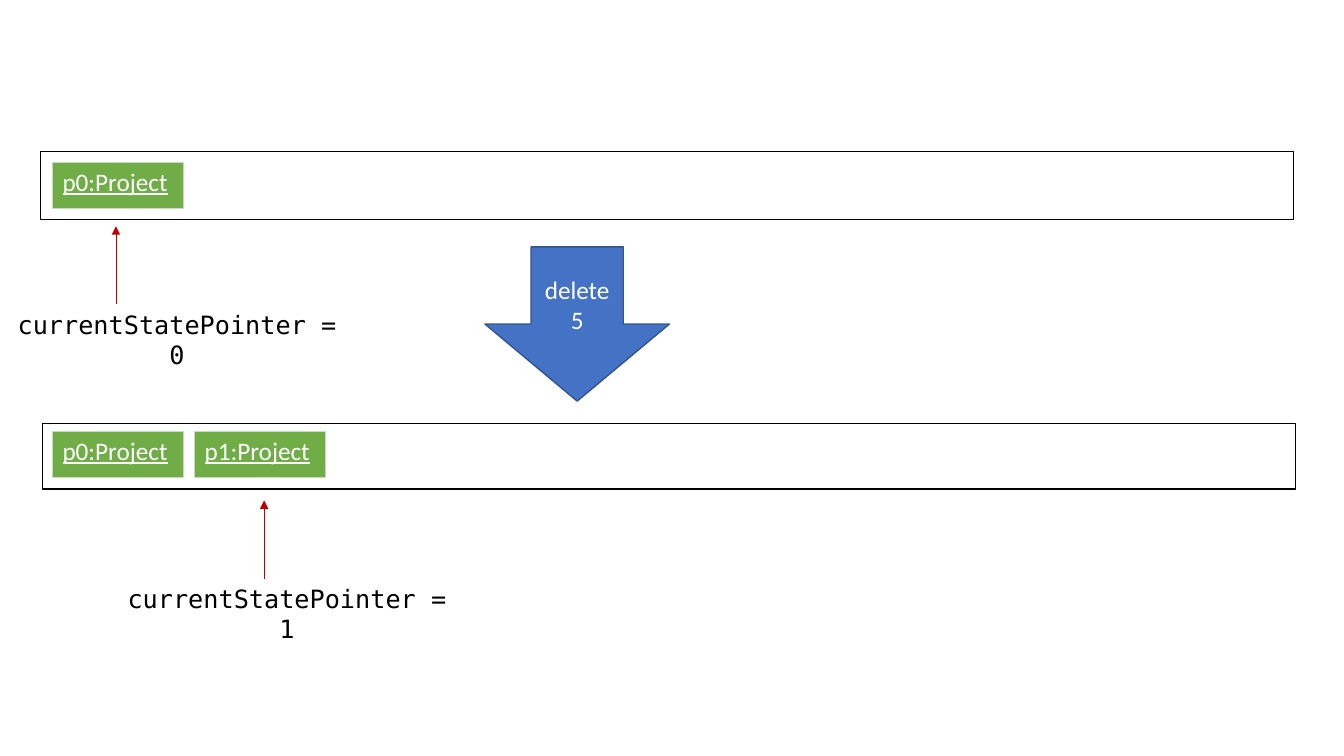
from collections import namedtuple

from lxml.etree import SubElement
from pptx import Presentation
from pptx.dml.color import RGBColor
from pptx.enum.shapes import MSO_CONNECTOR as Connector, MSO_SHAPE as Shape
from pptx.enum.text import MSO_ANCHOR as Anchor, PP_ALIGN as Align
from pptx.oxml.ns import qn
from pptx.util import Inches, Pt

COLORS = {
    "text": "000000",
    "light_text": "FFFFFF",
    "frame": "000000",
    "project": "70AD47",
    "project_border": "C9DBC1",
    "command": "4472C4",
    "command_border": "325491",
    "pointer": "C00000",
}
SANS, MONO = "Calibri", "DejaVu Sans Mono"
GRID_COLS, GRID_ROWS = 133.3, 75
PROJECT_COLS, PROJECT_ROWS, PROJECT_PITCH = 13, 4.6, 14.1
POINTER_ROWS = 7.75

Box = namedtuple("Box", "left top width height")
State = namedtuple("State", "box projects inset pointer label")


def grid(*cells):
    """Turn grid units of a tenth of an inch into slide lengths."""
    return [Inches(cell / 10) for cell in cells]


def color(name):
    """Look up a palette colour."""
    return RGBColor.from_string(COLORS[name])


def write(paragraph, words, font, ink, underline=None):
    """Add one formatted run to a paragraph."""
    run = paragraph.add_run()
    run.text = words
    run.font.size = Pt(18)
    run.font.name = font
    run.font.underline = underline
    run.font.color.rgb = color(ink)


def add_outlined(slide, preset, box, border):
    """Add a preset shape without shadow and with a thin border."""
    outlined = slide.shapes.add_shape(preset, *grid(*box))
    outlined.shadow.inherit = False
    outlined.line.color.rgb = color(border)
    outlined.line.width = Pt(1)
    return outlined


def add_project(slide, box, name):
    """Draw a project object as a one-cell table."""
    table = slide.shapes.add_table(1, 1, *grid(*box)).table
    table.first_row = table.horz_banding = False
    cell = table.cell(0, 0)
    properties = cell._tc.get_or_add_tcPr()
    for side in ("lnL", "lnR", "lnT", "lnB"):
        border = SubElement(properties, qn(f"a:{side}"), w=str(Pt(0.5)))
        paint = SubElement(border, qn("a:solidFill"))
        SubElement(paint, qn("a:srgbClr"), val=COLORS["project_border"])
    cell.fill.solid()
    cell.fill.fore_color.rgb = color("project")
    write(cell.text_frame.paragraphs[0], name, SANS, "light_text", True)


def add_pointer(slide, left, bottom):
    """Draw the upward arrow that marks the current state."""
    pointer = slide.shapes.add_connector(
        Connector.STRAIGHT, *grid(left, bottom, left, bottom - POINTER_ROWS))
    pointer.line.color.rgb = color("pointer")
    pointer.line.width = Pt(0.5)
    SubElement(pointer.line._get_or_add_ln(), qn("a:tailEnd"), type="triangle")
    SubElement(pointer._element.spPr, qn("a:effectLst"))


def add_label(slide, box, words):
    """Write the pointer's value below its arrow."""
    frame = slide.shapes.add_textbox(*grid(*box)).text_frame
    frame.word_wrap = True
    frame.paragraphs[0].alignment = Align.CENTER
    write(frame.paragraphs[0], words, MONO, "text")


def add_state_list(slide, state):
    """Draw one state list with its projects, pointer and label."""
    box = state.box
    add_outlined(slide, Shape.RECTANGLE, box, "frame").fill.background()
    inset_x, inset_y = state.inset
    for index, name in enumerate(state.projects):
        left = box.left + inset_x + index * PROJECT_PITCH
        add_project(slide, Box(left, box.top + inset_y, PROJECT_COLS, PROJECT_ROWS), name)
    pointer_x, pointer_y = state.pointer
    bottom = box.top + pointer_y
    add_pointer(slide, box.left + pointer_x, bottom)
    label_x, words = state.label
    add_label(slide, Box(box.left + label_x, bottom, 35.1, 4), words)


def add_command(slide, box, words):
    """Draw the block arrow that names the executed command."""
    command = add_outlined(slide, Shape.DOWN_ARROW, box, "command_border")
    command.fill.solid()
    command.fill.fore_color.rgb = color("command")
    frame = command.text_frame
    frame.word_wrap = True
    frame.vertical_anchor = Anchor.MIDDLE
    frame.paragraphs[0].alignment = Align.CENTER
    write(frame.paragraphs[0], words, SANS, "light_text")


def main():
    """Build the slide and save it."""
    deck = Presentation()
    deck.slide_width, deck.slide_height = grid(GRID_COLS, GRID_ROWS)
    slide = deck.slides.add_slide(deck.slide_layouts.get_by_name("Blank"))
    before = State(Box(4, 15, 124.3, 6.8), ["p0:Project"], (1.2, 1.1),
                   (7.5, 15.2), (-4, "currentStatePointer = 0"))
    after = State(Box(4.2, 42, 124.3, 6.5), ["p0:Project", "p1:Project"], (1, 0.8),
                  (22, 15.4), (6.7, "currentStatePointer = 1"))
    add_state_list(slide, before)
    add_command(slide, Box(48.1, 24.5, 18.3, 15.3), "delete 5")
    add_state_list(slide, after)
    deck.save("out.pptx")


if __name__ == "__main__":
    main()
